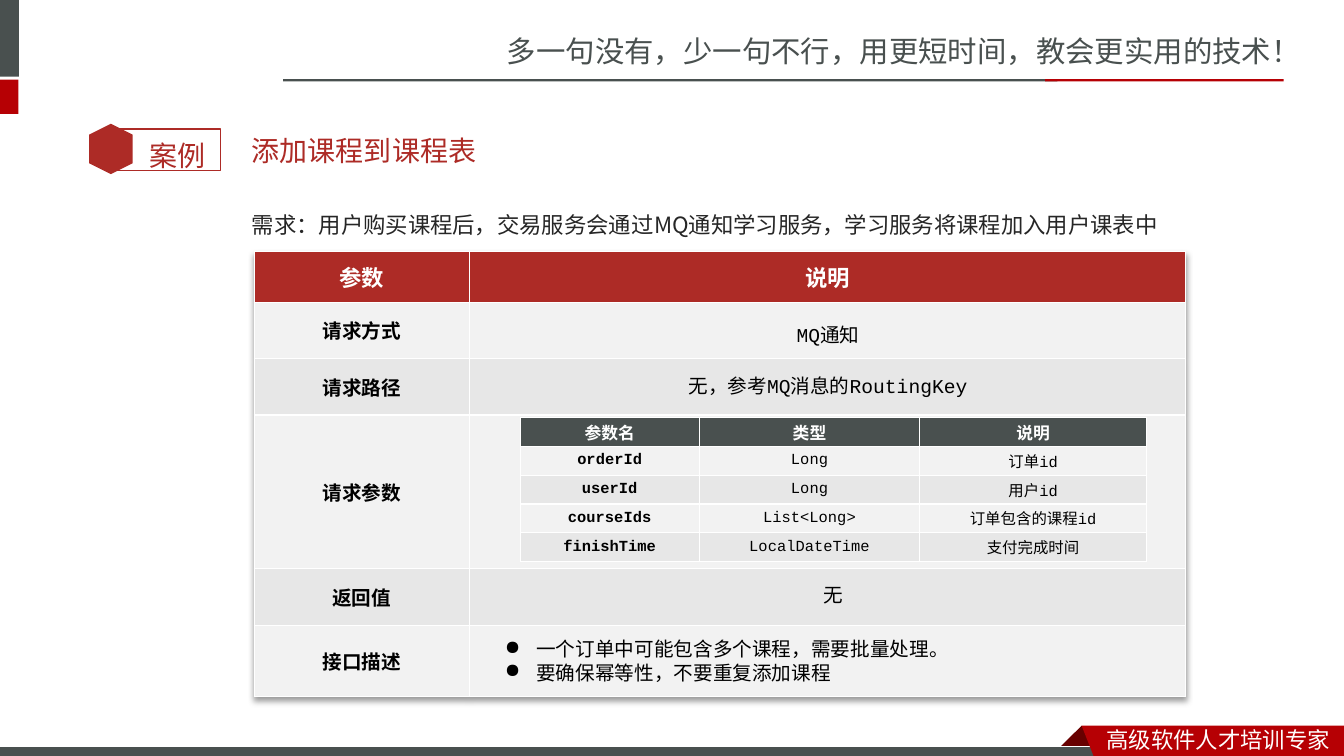
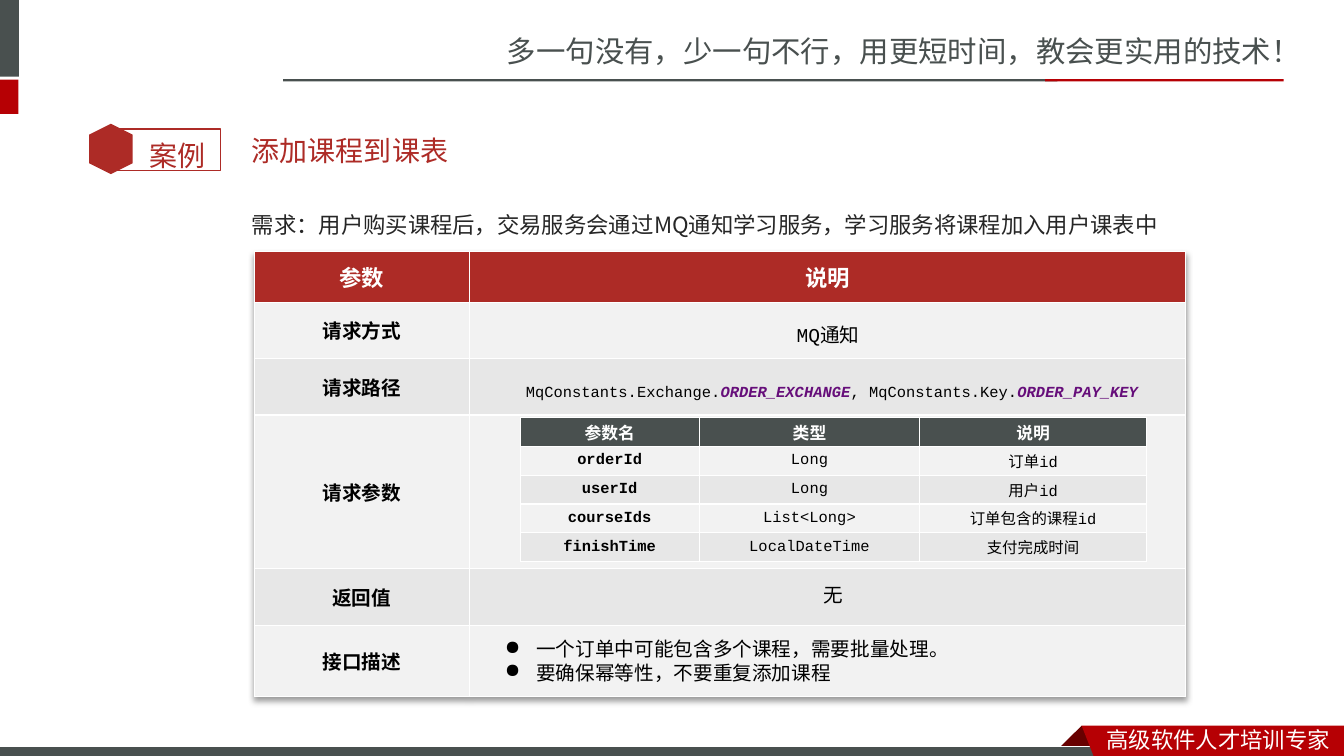
from lxml import etree
from pptx import Presentation, util as u
from pptx.dml.color import RGBColor
from pptx.enum import shapes, text
from pptx.oxml.ns import qn

HUES = {"slate": "49504F", "red": "B60004", "dark": "680000", "brick": "AD2B26",
        "white": "FFFFFF", "black": "000000", "ink": "262626", "plum": "660E7A",
        "pale": "F2F2F2", "grey": "E7E7E7"}
SANS, MONO = "Noto Sans CJK SC", "Courier New"
MID = text.PP_ALIGN.CENTER
RECT = shapes.MSO_SHAPE.RECTANGLE


def hue(name):
    return RGBColor.from_string(HUES[name])


class Deck:
    def __init__(self):
        self.prs = Presentation()
        self.prs.slide_width, self.prs.slide_height = u.Pt(960), u.Pt(540)
        self.slide = None

    def start(self):
        self.slide = self.prs.slides.add_slide(self.prs.slide_layouts[6])
        self.frame()

    def paint(self, shape, fill, line=None, width=1):
        shape.shadow.inherit = False
        if fill:
            shape.fill.solid()
            shape.fill.fore_color.rgb = hue(fill)
        else:
            shape.fill.background()
        if line:
            shape.line.color.rgb = hue(line)
            shape.line.width = u.Pt(width)
        else:
            shape.line.fill.background()
        return shape

    def block(self, box, fill, line=None, width=1, kind=RECT):
        shape = self.slide.shapes.add_shape(kind, *map(u.Pt, box))
        return self.paint(shape, fill, line, width)

    def shard(self, dots, fill):
        first, *rest = [(u.Pt(x), u.Pt(y)) for x, y in dots]
        pen = self.slide.shapes.build_freeform(*first)
        pen.add_line_segments(rest, close=True)
        self.paint(pen.convert_to_shape(), fill)

    def style(self, para, size, color, face=MONO, bold=False, align=None):
        font = para.font
        font.size, font.name, font.bold = u.Pt(size), face, bold
        font.color.rgb = hue(color)
        para.alignment = align
        base = para._p.pPr.find(qn("a:defRPr"))
        etree.SubElement(base, qn("a:ea")).set("typeface", SANS)

    def words(self, box, lines, size, color, face=MONO, align=None,
              lead=None, gap=None, dot=None, anchor=text.MSO_ANCHOR.TOP):
        frame = self.slide.shapes.add_textbox(*map(u.Pt, box)).text_frame
        frame.word_wrap = True
        frame.vertical_anchor = anchor
        for i, line in enumerate(lines):
            para = frame.add_paragraph() if i else frame.paragraphs[0]
            para.text = line
            if lead:
                para.line_spacing = lead
            if gap:
                para.space_before = u.Pt(gap)
            if dot:
                props = para._p.get_or_add_pPr()
                props.set("marL", str(u.Pt(22.5)))
                props.set("indent", str(u.Pt(-22.5)))
                etree.SubElement(props, qn("a:buChar")).set("char", dot)
            self.style(para, size, color, face, align=align)
        return frame

    def code(self, box, parts, size):
        para = self.words(box, [""], size, "black").paragraphs[0]
        for part, key in parts:
            run = para.add_run()
            run.text = part
            if key:
                run.font.bold = run.font.italic = True
                run.font.color.rgb = hue("plum")

    def table(self, spot, cols, rows, data, head, sizes, pad=3.6):
        shape = self.slide.shapes.add_table(
            len(rows), len(cols), *map(u.Pt, (*spot, sum(cols), sum(rows))))
        grid = shape.table
        for col, wide in zip(grid.columns, cols):
            col.width = u.Pt(wide)
        for r, (row, high) in enumerate(zip(grid.rows, rows)):
            row.height = u.Pt(high)
            for c, cell in enumerate(row.cells):
                cell.margin_top = cell.margin_bottom = u.Pt(pad)
                cell.vertical_anchor = text.MSO_ANCHOR.MIDDLE
                cell.fill.solid()
                cell.fill.fore_color.rgb = hue(("pale" if r % 2 else "grey") if r else head)
                if c < len(data[r]):
                    para = cell.text_frame.paragraphs[0]
                    para.text = data[r][c]
                    self.style(para, sizes[min(r, 1)], "black" if r else "white",
                               bold=not r or not c, align=MID)
        return grid

    def shade(self, grid):
        effect = etree.Element(qn("a:effectLst"))
        drop = etree.SubElement(effect, qn("a:outerShdw"), blurRad=str(u.Pt(4)),
                                dist=str(u.Pt(3)), dir="5400000")
        tone = etree.SubElement(drop, qn("a:srgbClr"), val=HUES["black"])
        etree.SubElement(tone, qn("a:alpha"), val="40000")
        grid._tbl.tblPr.insert(0, effect)

    def frame(self):
        self.words((355, 20.2, 605, 33.8),
                   ["多一句没有，少一句不行，用更短时间，教会更实用的技术！"], 21, "slate", SANS)
        self.block((-4.3, 0, 17.8, 54.7), "slate")
        self.block((-4.3, 56.9, 17.5, 24.5), "red")
        self.block((202.3, 56.6, 553, 1.6), "slate")
        self.block((746.6, 56.6, 170.4, 1.6), "red")
        self.shard([(772.6, 518.4), (788.4, 534.2), (787.7, 535),
                    (757.4, 535), (756.7, 534.2)], "dark")
        self.block((-0.7, 533.5, 792, 8.6), "slate", "white", 0.75)
        self.shard([(772.6, 518.4), (960, 518.4), (960, 542.9), (782, 542.2)], "red")
        self.words((783.4, 514.8, 176.6, 26.6), ["高级软件人才培训专家"], 16, "white", SANS)
        self.block((78.5, 92.2, 78.9, 29.7), None, "brick")
        self.block((61.2, 90.9, 36, 31), "brick", kind=shapes.MSO_SHAPE.HEXAGON).rotation = 90
        self.words((99.4, 83.5, 61.2, 40.3), ["案例"], 20, "brick", "Calibri", lead=1.5)


def case(deck, title):
    deck.start()
    deck.words((172.8, 87.1, 725.8, 41), [title], 20, "brick", "Lato", gap=4,
               anchor=text.MSO_ANCHOR.MIDDLE)
    deck.words((172.8, 137.5, 725.8, 296),
               ["需求：用户购买课程后，交易服务会通过MQ通知学习服务，学习服务将课程加入用户课表中"],
               16, "ink", "Noto Sans CJK JP", lead=1.5, gap=3.2)
    main = deck.table((181.6, 179.4), (153.7, 511.4), (36.4, 40.3, 40.3, 110, 40.3, 51),
                      [("参数", "说明"), ("请求方式",), ("请求路径",), ("请求参数",),
                       ("返回值",), ("接口描述",)], "brick", (16, 14))
    deck.shade(main)
    deck.words((522, 226.8, 139, 24.5), ["MQ通知"], 14, "black", align=MID)
    deck.words((371.5, 412.6, 447.8, 24.5), ["无"], 14, "black", align=MID)
    deck.words((353.5, 451.4, 476.6, 41),
               ["一个订单中可能包含多个课程，需要批量处理。", "要确保幂等性，不要重复添加课程"],
               14, "black", dot="●")
    deck.table((371.5, 298.2), (128, 157.5, 162), [20.6] * 5,
               [("参数名", "类型", "说明"),
                ("orderId", "Long", "订单id"),
                ("userId", "Long", "用户id"),
                ("courseIds", "List<Long>", "订单包含的课程id"),
                ("finishTime", "LocalDateTime", "支付完成时间")], "slate", (12, 11), 1.4)


def main():
    deck = Deck()
    case(deck, "添加课程到课程表")
    deck.words((468, 263.5, 247, 24.5), ["无，参考MQ消息的RoutingKey"], 14, "black", align=MID)
    case(deck, "添加课程到课表")
    deck.code((368.6, 269.3, 504, 20.9),
              [("MqConstants.Exchange.", False), ("ORDER_EXCHANGE", True),
               (", MqConstants.Key.", False), ("ORDER_PAY_KEY", True)], 11)
    deck.prs.save("out.pptx")


if __name__ == "__main__":
    main()
